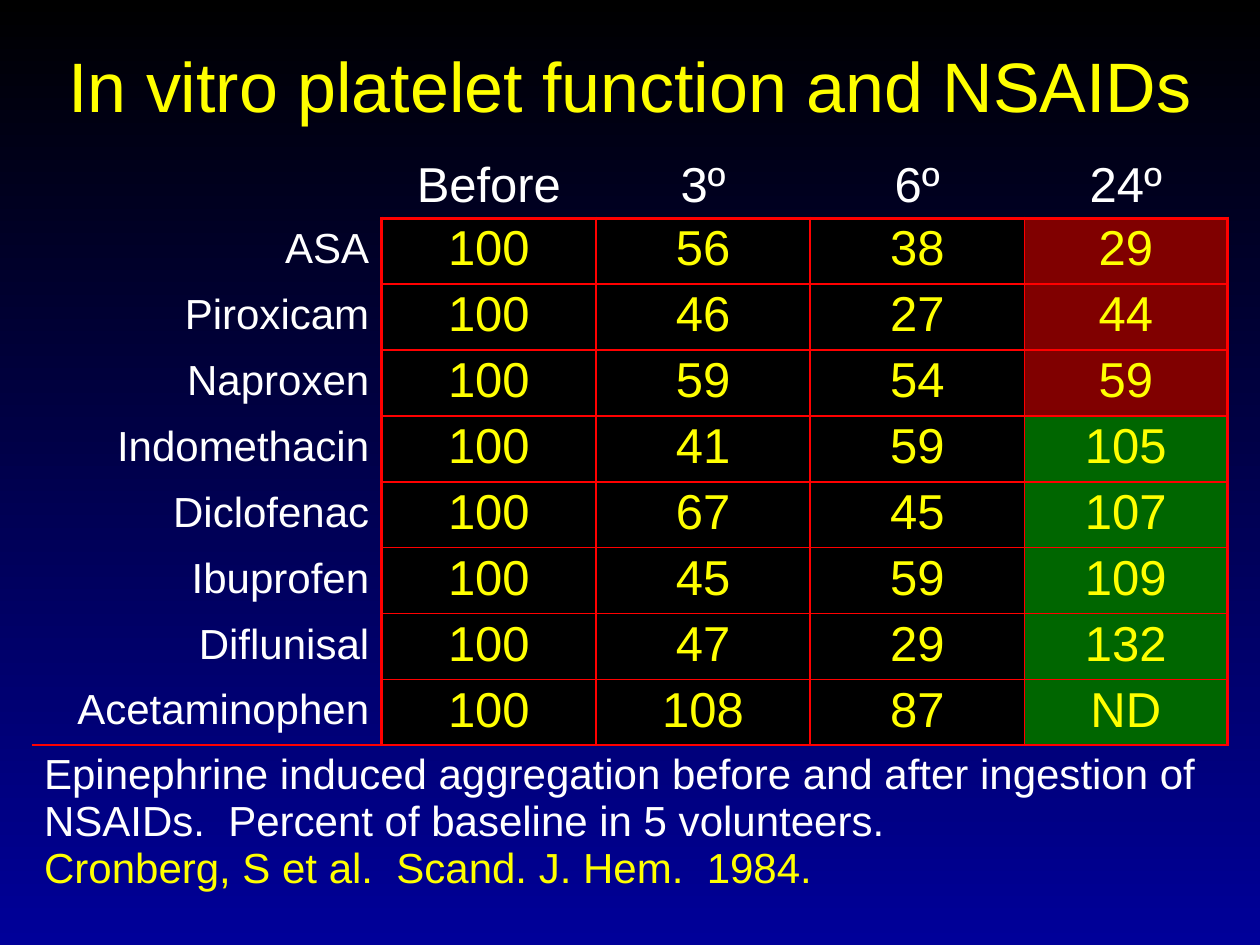
from dataclasses import dataclass

from lxml import etree
from pptx import Presentation
from pptx.dml.color import RGBColor
from pptx.enum.text import MSO_ANCHOR, PP_ALIGN
from pptx.oxml.ns import qn
from pptx.util import Inches, Pt

LEFT, CENTER, RIGHT = PP_ALIGN.LEFT, PP_ALIGN.CENTER, PP_ALIGN.RIGHT
TOP, MIDDLE, BOTTOM = MSO_ANCHOR.TOP, MSO_ANCHOR.MIDDLE, MSO_ANCHOR.BOTTOM


@dataclass(frozen=True)
class Theme:
    font: str = "Arial"
    white: str = "FFFFFF"
    yellow: str = "FFFF00"
    black: str = "000000"
    navy: str = "000099"
    rule: str = "FF0000"
    inhibited: str = "800000"
    recovered: str = "006600"
    title_size: int = 40
    value_size: int = 28
    label_size: int = 24
    thin: float = 1.08
    thick: float = 2.21


theme = Theme()


def write(frame, text, size=theme.label_size, color=theme.white, align=LEFT,
          spacing=None, append=False):
    para = frame.add_paragraph() if append else frame.paragraphs[0]
    para.alignment = align
    para.space_before = Pt(0)
    para.line_spacing = spacing
    span = para.add_run()
    span.text = text
    span.font.name = theme.font
    span.font.size = Pt(size)
    span.font.color.rgb = RGBColor.from_string(color)


def set_borders(cell, widths):
    """Rule the sides named in widths (L, R, T, B) and clear the others."""
    properties = cell._tc.get_or_add_tcPr()
    for side in "LRTB":
        line = etree.SubElement(properties, qn(f"a:ln{side}"))
        if side in widths:
            line.set("w", str(Pt(widths[side])))
            fill = etree.SubElement(line, qn("a:solidFill"))
            etree.SubElement(fill, qn("a:srgbClr"), val=theme.rule)
        else:
            etree.SubElement(line, qn("a:noFill"))


deck = Presentation()
deck.slide_width, deck.slide_height = Inches(10), Inches(7.5)
page_width, page_height = deck.slide_width, deck.slide_height
page = deck.slides.add_slide(deck.slide_layouts[5])

background = page.background.fill
background.gradient()
background.gradient_angle = 270
for stop, color, position in zip(background.gradient_stops,
                                 (theme.black, theme.navy), (0, 1)):
    stop.color.rgb = RGBColor.from_string(color)
    stop.position = position

margin = int(page_width * 0.025)
content_width = page_width - 2 * margin

title = page.shapes.title
title.left, title.top = margin, int(page_height * 0.044)
title.width, title.height = content_width, int(page_height * 0.09)
title.text_frame.vertical_anchor = MIDDLE
title.text_frame.word_wrap = True
write(title.text_frame, "In vitro platelet function and NSAIDs",
      size=theme.title_size, color=theme.yellow, align=CENTER)

rows = [
    ("", "Before", "3º", "6º", "24º"),
    ("ASA", "100", "56", "38", "29"),
    ("Piroxicam", "100", "46", "27", "44"),
    ("Naproxen", "100", "59", "54", "59"),
    ("Indomethacin", "100", "41", "59", "105"),
    ("Diclofenac", "100", "67", "45", "107"),
    ("Ibuprofen", "100", "45", "59", "109"),
    ("Diflunisal", "100", "47", "29", "132"),
    ("Acetaminophen", "100", "108", "87", "ND"),
]
note_row = len(rows)
last_inhibited_row = 3
column_widths = [2.78, 1.7, 1.7, 1.7, 1.61]
last_column = len(column_widths) - 1
row_heights = [0.57] + [0.523] * (note_row - 1) + [1.3]

table = page.shapes.add_table(
    note_row + 1, len(column_widths), margin, int(page_height * 0.155),
    content_width, Inches(sum(row_heights))).table
table.first_row = table.horz_banding = False
for column, width in zip(table.columns, column_widths):
    column.width = Inches(width)
for row, height in zip(table.rows, row_heights):
    row.height = Inches(height)

for r, values in enumerate(rows):
    for c, value in enumerate(values):
        cell = table.cell(r, c)
        is_header, is_label = r == 0, c == 0
        borders = {}
        if is_header and not is_label:
            borders = {"B": theme.thick}
        elif is_label and not is_header:
            borders = {"R": theme.thick}
        elif not is_header:
            borders = {"L": theme.thick if c == 1 else theme.thin,
                       "R": theme.thick if c == last_column else theme.thin,
                       "T": theme.thick if r == 1 else theme.thin,
                       "B": theme.thin}
        set_borders(cell, borders)

        if is_header or is_label:
            cell.fill.background()
        else:
            shade = theme.black
            if c == last_column:
                shade = theme.inhibited if r <= last_inhibited_row else theme.recovered
            cell.fill.solid()
            cell.fill.fore_color.rgb = RGBColor.from_string(shade)

        cell.vertical_anchor = BOTTOM if is_header else MIDDLE
        if value:
            write(cell.text_frame, value,
                  size=theme.label_size if is_label else theme.value_size,
                  color=theme.white if is_header or is_label else theme.yellow,
                  align=RIGHT if is_label else CENTER, spacing=0.9)

for c in range(len(column_widths)):
    cell = table.cell(note_row, c)
    set_borders(cell, {"T": theme.thin})
    cell.fill.background()
note = table.cell(note_row, 0)
note.merge(table.cell(note_row, last_column))
note.vertical_anchor = TOP
write(note.text_frame, "Epinephrine induced aggregation before and after ingestion "
      "of NSAIDs.  Percent of baseline in 5 volunteers.")
write(note.text_frame, "Cronberg, S et al.  Scand. J. Hem.  1984.",
      color=theme.yellow, append=True)

deck.save("out.pptx")
